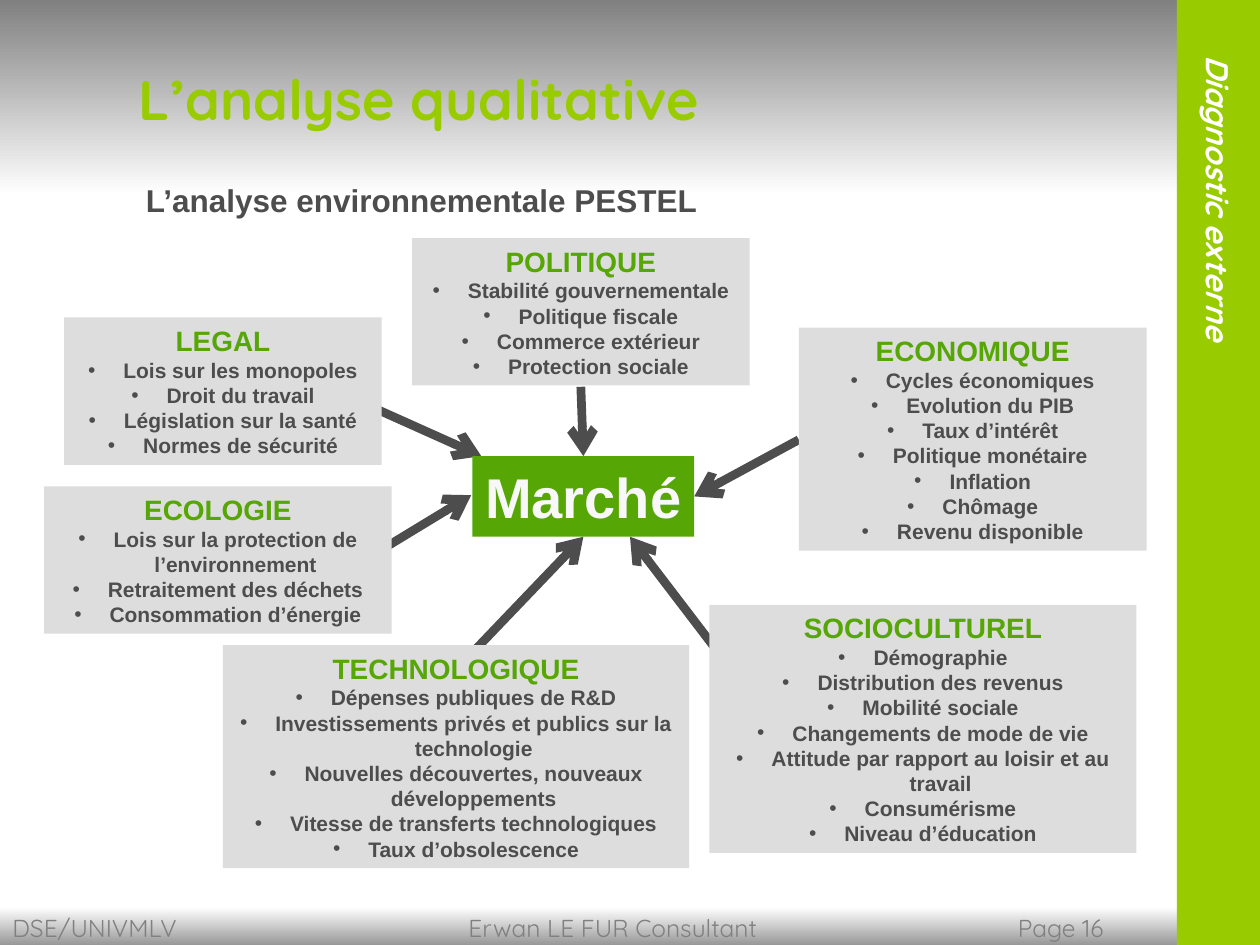
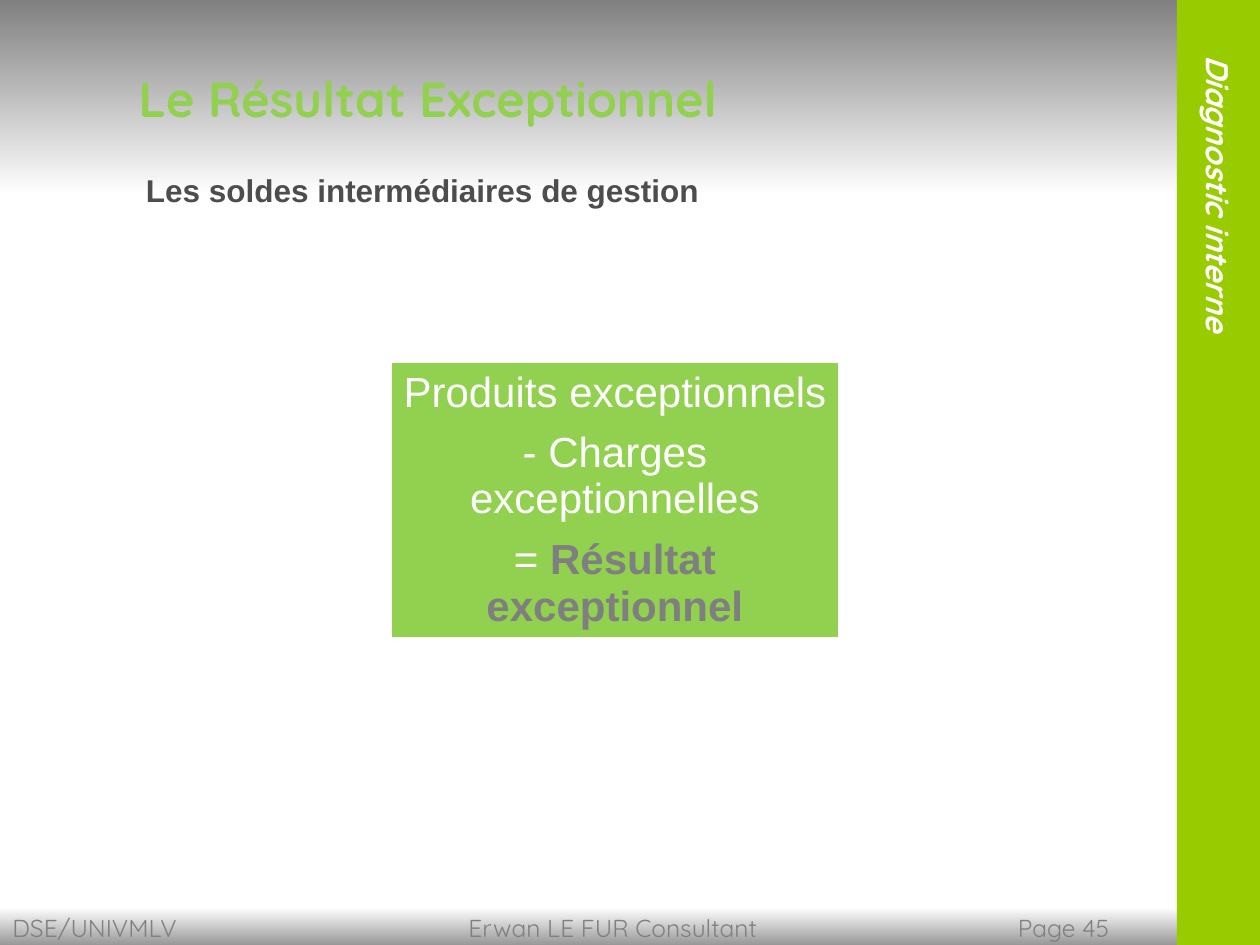
from dataclasses import dataclass

from lxml.etree import SubElement
from pptx import Presentation
from pptx.dml.color import RGBColor
from pptx.enum.shapes import MSO_CONNECTOR, MSO_SHAPE
from pptx.enum.text import MSO_ANCHOR, PP_ALIGN
from pptx.oxml.ns import qn
from pptx.util import Inches, Pt


@dataclass(frozen=True)
class Theme:
    """Hold the colours, fonts and type sizes of the deck."""
    lime: str = "99CC00"
    leaf: str = "56A606"
    fresh: str = "92D050"
    dark: str = "4D4D4D"
    grey: str = "808080"
    mid: str = "7F7F7F"
    pale: str = "DDDDDD"
    white: str = "FFFFFF"
    snow: str = "F8F8F8"
    body: str = "Arial"
    head: str = "Quicksand"
    huge: int = 32
    big: int = 28
    large: int = 24
    sub: int = 18
    label: int = 16
    foot: int = 14
    small: int = 12


T = Theme()
WIDE, HIGH = 10, 7.5
SIDE = 9.34
FOOT = (0, 7.2, WIDE, 0.37)
HEAD = (0, 0, WIDE, 1.55)
STRIP = (SIDE, 0, WIDE - SIDE, HIGH)
HUB = (3.75, 3.62, 1.76, 0.64)
SUM = (3.11, 2.88, 3.54, 2.17)

FORCES = [
    ((3.27, 1.89, 2.68, 1.17), "POLITIQUE",
     ["Stabilité gouvernementale", "Politique fiscale",
      "Commerce extérieur", "Protection sociale"]),
    ((6.34, 2.6, 2.76, 1.77), "ECONOMIQUE",
     ["Cycles économiques", "Evolution du PIB", "Taux d’intérêt",
      "Politique monétaire", "Inflation", "Chômage", "Revenu disponible"]),
    ((5.63, 4.8, 3.39, 1.97), "SOCIOCULTUREL",
     ["Démographie", "Distribution des revenus", "Mobilité sociale",
      "Changements de mode de vie",
      "Attitude par rapport au loisir et au travail",
      "Consumérisme", "Niveau d’éducation"]),
    ((1.77, 5.12, 3.7, 1.77), "TECHNOLOGIQUE",
     ["Dépenses publiques de R&D",
      "Investissements privés et publics sur la technologie",
      "Nouvelles découvertes, nouveaux développements",
      "Vitesse de transferts technologiques", "Taux d’obsolescence"]),
    ((0.35, 3.86, 2.76, 1.17), "ECOLOGIE",
     ["Lois sur la protection de l’environnement",
      "Retraitement des déchets", "Consommation d’énergie"]),
    ((0.51, 2.52, 2.52, 1.17), "LEGAL",
     ["Lois sur les monopoles", "Droit du travail",
      "Législation sur la santé", "Normes de sécurité"]),
]
ARROWS = [
    (5.71, 5.19, 5, 4.26), (4.61, 3.07, 4.63, 3.62),
    (6.34, 3.49, 5.51, 3.94), (3.74, 5.19, 4.63, 4.26),
    (2.95, 3.23, 3.82, 3.62), (2.95, 4.41, 3.74, 3.93),
]


def rgb(code):
    """Turn a hex code into a colour."""
    return RGBColor.from_string(code)


def write(frame, text, size=T.small, color=T.dark, font=T.body, bold=False,
          slant=False, align=PP_ALIGN.LEFT, bullet=False, tabs=(), join=False):
    """Add a paragraph to a frame, or join a run to its last one."""
    para = frame.paragraphs[-1]
    if para.runs and not join:
        para = frame.add_paragraph()
    if not join:
        para.alignment = align
    props = para._p.get_or_add_pPr()
    if bullet:
        props.set("marL", str(Inches(0.28)))
        props.set("indent", str(-Inches(0.28)))
        tint = SubElement(props, qn("a:buClr"))
        SubElement(tint, qn("a:srgbClr"), val=color)
        SubElement(props, qn("a:buFont"), typeface=T.body)
        SubElement(props, qn("a:buChar"), char="•")
    if tabs:
        stops = SubElement(props, qn("a:tabLst"))
        for stop in tabs:
            SubElement(stops, qn("a:tab"), pos=str(Inches(stop)), algn="l")
    run = para.add_run()
    run.text = text
    run.font.size, run.font.name = Pt(size), font
    run.font.bold, run.font.italic = bold, slant
    run.font.color.rgb = rgb(color)


def block(slide, area, fill, fade=None):
    """Draw a plain or fading rectangle and return it."""
    shape = slide.shapes.add_shape(MSO_SHAPE.RECTANGLE, *map(Inches, area))
    shape.shadow.inherit = False
    shape.line.fill.background()
    if fade:
        shape.fill.gradient()
        shape.fill.gradient_angle = 270
        for stop, code in zip(shape.fill.gradient_stops, (fill, fade)):
            stop.color.rgb = rgb(code)
    else:
        shape.fill.solid()
        shape.fill.fore_color.rgb = rgb(fill)
    shape.text_frame.word_wrap = True
    shape.text_frame.vertical_anchor = MSO_ANCHOR.TOP
    return shape


def header(slide, area, text, size, color):
    """Draw the fading title band."""
    frame = block(slide, area, T.grey, T.white).text_frame
    frame.vertical_anchor = MSO_ANCHOR.MIDDLE
    frame.margin_left = Inches(1.1)
    write(frame, text, size=size, color=color, font=T.head, bold=True)


def lead(slide, area, text):
    """Write the line under the title."""
    frame = slide.shapes.add_textbox(*map(Inches, area)).text_frame
    frame.word_wrap = True
    write(frame, text, size=T.sub, bold=True)


def footer(slide, area, page):
    """Draw the fading foot band with its three texts."""
    frame = block(slide, area, T.white, T.grey).text_frame
    write(frame, f"DSE/UNIVMLV\tErwan LE FUR Consultant\tPage {page}",
          size=T.foot, color=T.grey, font=T.head, tabs=(3.62, 7.98))


def strip(slide, area, text):
    """Draw the side strip with its turned text."""
    frame = block(slide, area, T.lime).text_frame
    frame.vertical_anchor = MSO_ANCHOR.MIDDLE
    frame.margin_left, frame.margin_right = Inches(0.05), Inches(0.1)
    frame.margin_top, frame.margin_bottom = Inches(0.44), Inches(0.1)
    frame._txBody.bodyPr.set("vert", "eaVert")
    write(frame, text, size=T.sub, color=T.white, font=T.head, bold=True,
          slant=True, align=PP_ALIGN.CENTER)


def arrow(slide, ends):
    """Draw one thick arrow."""
    link = slide.shapes.add_connector(MSO_CONNECTOR.STRAIGHT, *map(Inches, ends))
    link.line.color.rgb = rgb(T.dark)
    link.line.width = Pt(5)
    props = link.element.spPr
    SubElement(props.find(qn("a:ln")), qn("a:tailEnd"), type="arrow")
    SubElement(props, qn("a:effectLst"))


def force(slide, area, name, points):
    """Draw one force with its bullet points."""
    frame = block(slide, area, T.pale).text_frame
    write(frame, name, size=T.label, color=T.leaf, bold=True,
          align=PP_ALIGN.CENTER)
    for point in points:
        write(frame, point, bold=True, align=PP_ALIGN.CENTER, bullet=True)


def hub(slide, area, text):
    """Draw the market box in the centre."""
    frame = block(slide, area, T.leaf).text_frame
    frame.word_wrap = False
    write(frame, text, size=T.huge, color=T.snow, bold=True,
          align=PP_ALIGN.CENTER)


def total(slide, area, rows):
    """Draw the one-column sum table, two-line rows being taller."""
    x, y, wide, high = area
    table = slide.shapes.add_table(len(rows), 1, *map(Inches, area)).table
    table.first_row = table.horz_banding = False
    first = 0.47
    rest = (high - first) / (len(rows) - 1)
    for index, (text, strong) in enumerate(rows):
        table.rows[index].height = Inches(rest if index else first)
        cell = table.cell(index, 0)
        props = cell._tc.get_or_add_tcPr()
        for edge in "LRTB":
            line = SubElement(props, qn(f"a:ln{edge}"), w="0")
            SubElement(line, qn("a:noFill"))
        cell.fill.solid()
        cell.fill.fore_color.rgb = rgb(T.fresh)
        cell.vertical_anchor = MSO_ANCHOR.MIDDLE
        cell.margin_left = cell.margin_right = Inches(0.03)
        write(cell.text_frame, text, size=T.large, color=T.white,
              align=PP_ALIGN.CENTER)
        if strong:
            write(cell.text_frame, strong, size=T.large, color=T.mid,
                  bold=True, join=True)


def frame_up(slide, page, part):
    """Draw the foot band and side strip that all slides share."""
    footer(slide, FOOT, page)
    strip(slide, STRIP, part)


def pestel(slide):
    """Build the slide on the six outside forces."""
    header(slide, HEAD, "L’analyse qualitative", T.huge, T.lime)
    for ends in ARROWS:
        arrow(slide, ends)
    hub(slide, HUB, "Marché")
    for area, name, points in FORCES:
        force(slide, area, name, points)
    lead(slide, (1.06, 1.39, 5.28, 0.7), "L’analyse environnementale PESTEL")
    frame_up(slide, 16, "Diagnostic externe")


def result(slide):
    """Build the slide on the exceptional result."""
    header(slide, HEAD, "Le Résultat Exceptionnel", T.big, T.fresh)
    total(slide, SUM, [("Produits exceptionnels", ""),
                       ("- Charges exceptionnelles", ""),
                       ("= ", "Résultat exceptionnel")])
    lead(slide, (1.06, 1.31, 5.28, 0.7), "Les soldes intermédiaires de gestion")
    frame_up(slide, 45, "Diagnostic interne")


def main():
    """Build and save the deck."""
    deck = Presentation()
    deck.slide_width, deck.slide_height = Inches(WIDE), Inches(HIGH)
    for build in (pestel, result):
        build(deck.slides.add_slide(deck.slide_layouts[6]))
    deck.save("out.pptx")


if __name__ == "__main__":
    main()
